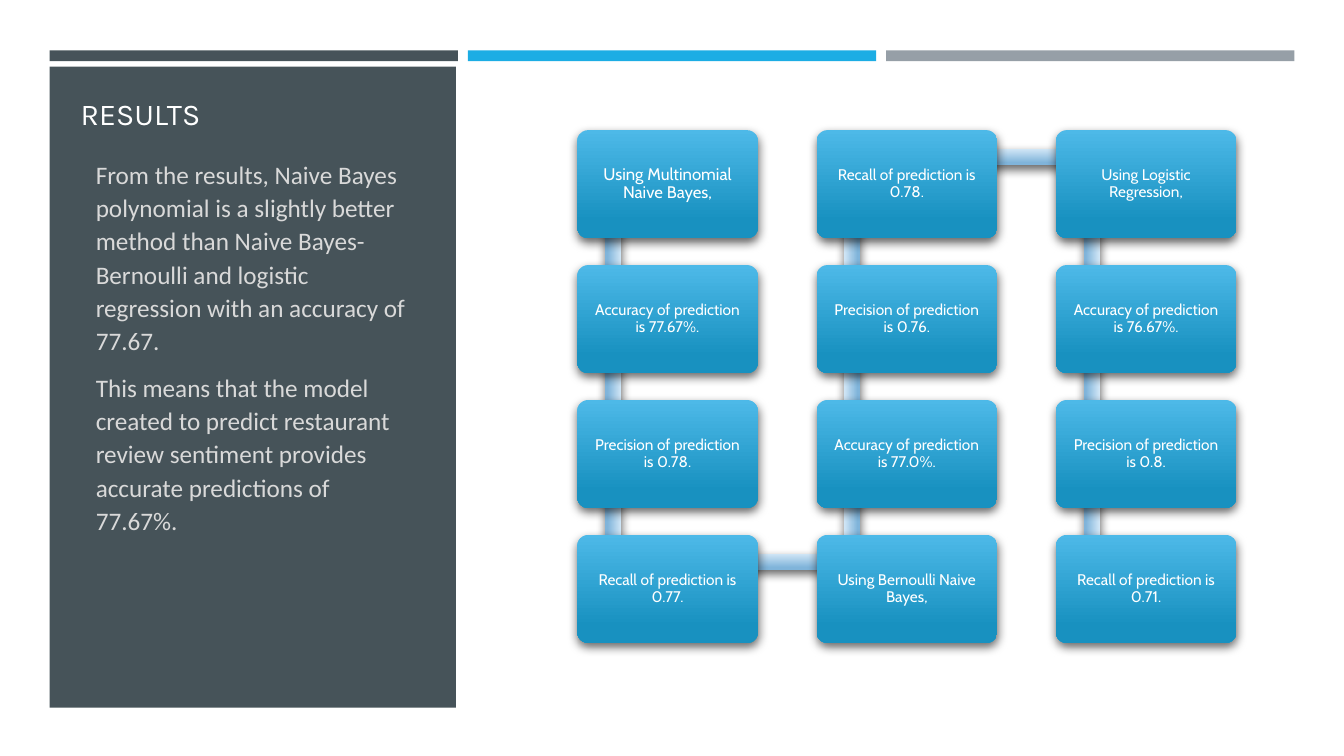
from math import atan2, degrees, hypot

from lxml import etree
from pptx import Presentation
from pptx.dml.color import RGBColor as Rgb
from pptx.enum.shapes import MSO_SHAPE as Kind
from pptx.enum.text import MSO_ANCHOR as Anchor, MSO_AUTO_SIZE as Fit, PP_ALIGN as Align
from pptx.oxml import parse_xml
from pptx.oxml.ns import nsdecls, qn
from pptx.util import Cm, Pt

COLORS = {
    "slate": "465359", "blue": "1CADE4", "gray": "969FA7",
    "white": "FFFFFF", "pale": "D9D9D9",
    "card top": "4DB9E8", "card end": "1891C0",
    "link top": "D1E6F6", "link end": "80B4DA",
}
BODY = [
    "From the results, Naive Bayes polynomial is a slightly better method than "
    "Naive Bayes-Bernoulli and logistic regression with an accuracy of 77.67.",
    "This means that the model created to predict restaurant review sentiment "
    "provides accurate predictions of 77.67%.",
]
STEPS = [
    "Using Multinomial Naive Bayes,",
    "Accuracy of prediction is 77.67%.",
    "Precision of prediction is 0.78.",
    "Recall of prediction is 0.77.",
    "Using Bernoulli Naive Bayes,",
    "Accuracy of prediction is 77.0%.",
    "Precision of prediction is 0.76.",
    "Recall of prediction is 0.78.",
    "Using Logistic Regression,",
    "Accuracy of prediction is 76.67%.",
    "Precision of prediction is 0.8.",
    "Recall of prediction is 0.71.",
]
ROWS = 4
LEFT, TOP = 14.55, 3.28
STEP_X, STEP_Y = 6.03, 3.4
CARD_W, CARD_H = 4.55, 2.72
LINK_X, LINK_Y, LINK_H = 0.9, 0.68, 0.41


def color(name):
    return Rgb.from_string(COLORS[name])


def add_box(slide, kind, left, top, width, height):
    box = slide.shapes.add_shape(kind, Cm(left), Cm(top), Cm(width), Cm(height))
    box.line.fill.background()
    box.shadow.inherit = False
    return box


def add_bar(slide, left, top, width, height, name):
    bar = add_box(slide, Kind.RECTANGLE, left, top, width, height)
    bar.fill.solid()
    bar.fill.fore_color.rgb = color(name)


def shade(box, name):
    """Give the box a downward gradient and a soft shadow."""
    box.fill.gradient()
    box.fill.gradient_angle = 270
    ends = (("top", 0), ("end", 0.84))
    for stop, (end, place) in zip(box.fill.gradient_stops, ends):
        stop.color.rgb = color(f"{name} {end}")
        stop.position = place
    glow = parse_xml(
        f'<a:outerShdw {nsdecls("a")} blurRad="{Pt(7)}" dist="{Pt(3)}" '
        f'dir="{84 * 60000}" rotWithShape="0"><a:srgbClr val="000000">'
        '<a:alpha val="60000"/></a:srgbClr></a:outerShdw>')
    box.element.spPr.find(qn("a:effectLst")).append(glow)


def style(para, font, size, name):
    for run in para.runs:
        run.font.name = font
        run.font.size = Pt(size)
        run.font.color.rgb = color(name)


def place(holder, left, top, width, height, anchor):
    """Move a placeholder to its spot, in front of the panel."""
    holder.left, holder.top = Cm(left), Cm(top)
    holder.width, holder.height = Cm(width), Cm(height)
    holder.element.getparent().append(holder.element)
    frame = holder.text_frame
    frame.auto_size = Fit.NONE
    frame.vertical_anchor = anchor
    return frame


def fill_title(slide):
    frame = place(slide.shapes.title, 1.78, 2.21, 8.43, 1.24, Anchor.BOTTOM)
    frame.text = "RESULTS"
    para = frame.paragraphs[0]
    para.alignment = Align.LEFT
    style(para, "Karla", 21.6, "white")


def fill_body(slide):
    frame = place(slide.placeholders[1], 2.16, 3.81, 8.43, 12.93, Anchor.TOP)
    frame.text = "\n".join(BODY)
    for para in frame.paragraphs:
        para.line_spacing = 1.1
        para.space_after = Pt(6)
        style(para, "Calibri", 18, "pale")
        props = para._p.get_or_add_pPr()
        props.set("marL", "0")
        props.set("indent", "0")
        etree.SubElement(props, qn("a:buNone"))


def spot(index):
    """Return the corner of a card on the path that winds down and up."""
    col, row = divmod(index, ROWS)
    if col % 2:
        row = ROWS - 1 - row
    return LEFT + col * STEP_X, TOP + row * STEP_Y


def add_link(slide, start, end):
    (x1, y1), (x2, y2) = start, end
    size = hypot(x2 - x1, y2 - y1)
    mid_x = (x1 + x2) / 2 + LINK_X
    mid_y = (y1 + y2) / 2 + LINK_Y
    link = add_box(slide, Kind.RECTANGLE, mid_x - size / 2, mid_y - LINK_H / 2,
                   size, LINK_H)
    link.rotation = degrees(atan2(y2 - y1, x2 - x1)) % 360
    shade(link, "link")


def add_card(slide, left, top, text, size):
    card = add_box(slide, Kind.ROUNDED_RECTANGLE, left, top, CARD_W, CARD_H)
    card.adjustments[0] = 0.1
    shade(card, "card")
    frame = card.text_frame
    frame.word_wrap = True
    frame.vertical_anchor = Anchor.MIDDLE
    frame.margin_left = frame.margin_right = Cm(0.21)
    frame.margin_top = frame.margin_bottom = Cm(0.21)
    frame.text = text
    para = frame.paragraphs[0]
    para.alignment = Align.CENTER
    para.line_spacing = 0.9
    style(para, "Cabin", size, "white")


def main():
    deck = Presentation()
    deck.slide_width, deck.slide_height = Cm(33.87), Cm(19.05)
    slide = deck.slides.add_slide(deck.slide_layouts[1])
    for col, name in enumerate(("slate", "blue", "gray")):
        add_bar(slide, 1.25 + col * 10.54, 1.27, 10.29, 0.27, name)
    add_bar(slide, 1.25, 1.68, 10.24, 16.15, "slate")
    fill_title(slide)
    fill_body(slide)
    for index, text in enumerate(STEPS):
        if index + 1 < len(STEPS):
            add_link(slide, spot(index), spot(index + 1))
        add_card(slide, *spot(index), text, 11 if index else 12)
    deck.save("out.pptx")


if __name__ == "__main__":
    main()
